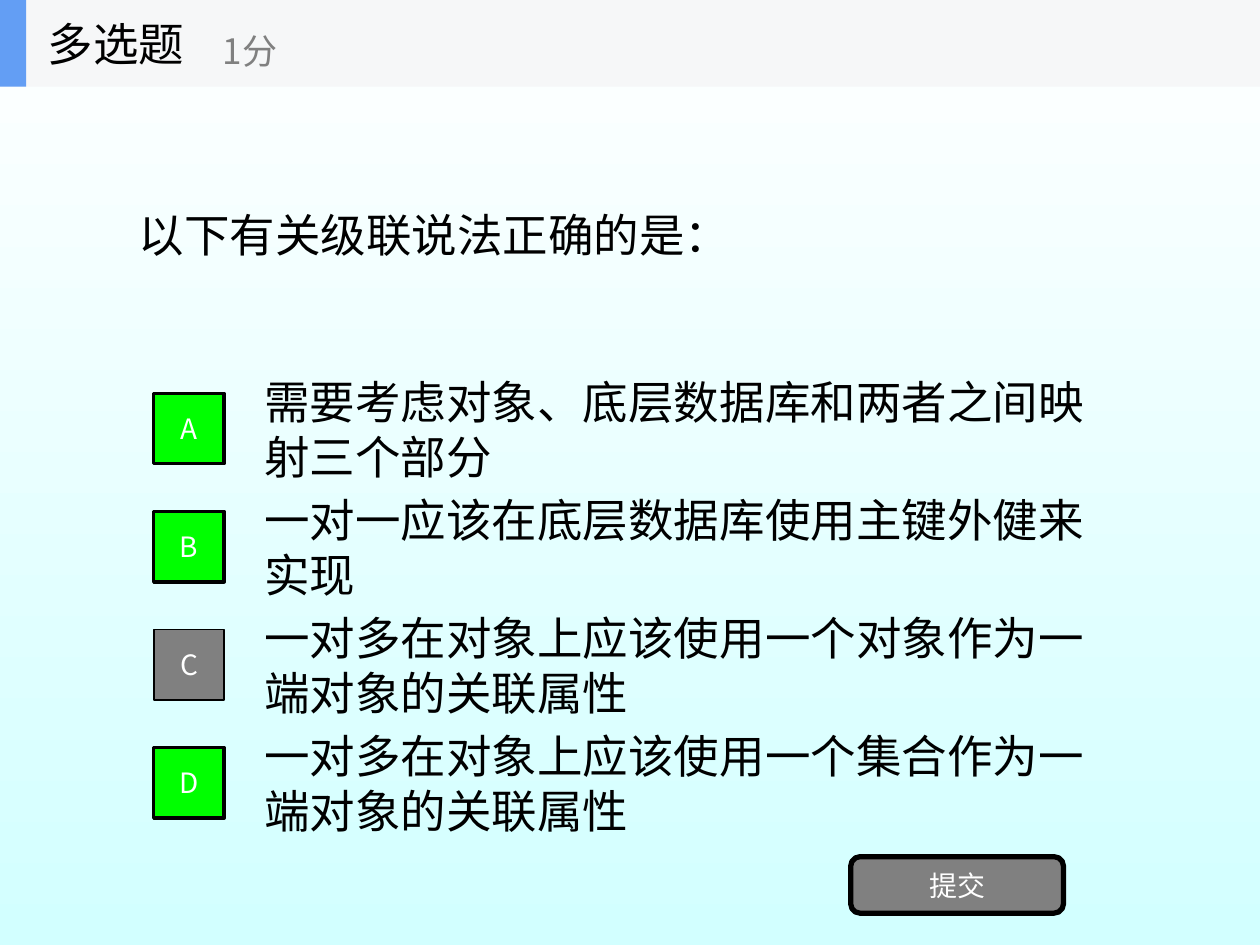
from dataclasses import dataclass

from lxml.etree import SubElement
from pptx import Presentation
from pptx.dml.color import RGBColor
from pptx.enum.shapes import MSO_SHAPE
from pptx.enum.text import MSO_ANCHOR, MSO_AUTO_SIZE, PP_ALIGN
from pptx.oxml.ns import qn
from pptx.util import Cm, Pt


@dataclass(frozen=True)
class Theme:
    font: str = "Noto Sans CJK SC"
    ink: str = "000000"
    white: str = "FFFFFF"
    grey: str = "808080"
    correct: str = "00FF00"
    band: str = "F6F7F8"
    accent: str = "639EF4"
    background_end: str = "D2FFFF"
    text_size: int = 26
    score_size: int = 20
    button_size: int = 16


@dataclass(frozen=True)
class Area:
    """A rectangle in centimetres."""
    left: float
    top: float
    width: float
    height: float

    def lengths(self) -> tuple:
        return Cm(self.left), Cm(self.top), Cm(self.width), Cm(self.height)


@dataclass(frozen=True)
class Option:
    letter: str
    wording: str
    correct: bool


THEME = Theme()
PAGE_WIDTH, PAGE_HEIGHT = 25.4, 19.05
HEADER_HEIGHT = 1.75
OPTION_TOP, OPTION_PITCH, OPTION_HEIGHT = 7.75, 2.38, 1.78
BADGE_SIZE = 1.42

OPTIONS = [
    Option("A", "需要考虑对象、底层数据库和两者之间映射三个部分", True),
    Option("B", "一对一应该在底层数据库使用主键外健来实现", True),
    Option("C", "一对多在对象上应该使用一个对象作为一端对象的关联属性", False),
    Option("D", "一对多在对象上应该使用一个集合作为一端对象的关联属性", True),
]


def write(box, wording: str, size: int, color: str, align=PP_ALIGN.LEFT) -> None:
    frame = box.text_frame
    frame_format = {
        "word_wrap": True,
        "auto_size": MSO_AUTO_SIZE.NONE,
        "vertical_anchor": MSO_ANCHOR.MIDDLE,
    }
    for name, value in frame_format.items():
        setattr(frame, name, value)
    para = frame.paragraphs[0]
    para.alignment = align
    span = para.add_run()
    span.text = wording
    for name, value in {"name": THEME.font, "size": Pt(size)}.items():
        setattr(span.font, name, value)
    span.font.color.rgb = RGBColor.from_string(color)
    # Chinese characters take the East Asian typeface
    SubElement(span._r.get_or_add_rPr(), qn("a:ea"), typeface=THEME.font)


def add_label(page, area: Area, wording: str, size: int, color: str) -> None:
    write(page.shapes.add_textbox(*area.lengths()), wording, size, color)


def add_block(page, area: Area, fill: str, line_width: float = 0,
              kind=MSO_SHAPE.RECTANGLE):
    box = page.shapes.add_shape(kind, *area.lengths())
    box.shadow.inherit = False
    box.fill.solid()
    box.fill.fore_color.rgb = RGBColor.from_string(fill)
    if line_width:
        box.line.width = Pt(line_width)
        box.line.color.rgb = RGBColor.from_string(THEME.ink)
    else:
        box.line.fill.background()
    return box


def add_button(page, area: Area, wording: str, fill: str, line_width: float,
               kind=MSO_SHAPE.RECTANGLE) -> None:
    box = add_block(page, area, fill, line_width, kind)
    write(box, wording, THEME.button_size, THEME.white, PP_ALIGN.CENTER)


def paint_background(page) -> None:
    fill = page.background.fill
    fill.gradient()
    fill.gradient_angle = 270
    for stop, color in zip(fill.gradient_stops, (THEME.white, THEME.background_end)):
        stop.color.rgb = RGBColor.from_string(color)


def add_question(page, wording: str) -> None:
    title = page.shapes.title
    places = Area(2.54, HEADER_HEIGHT, 20.32, 5.94).lengths()
    for name, value in zip(("left", "top", "width", "height"), places):
        setattr(title, name, value)
    write(title, wording, THEME.text_size, THEME.ink)


def add_option(page, option: Option, top: float) -> None:
    add_label(page, Area(5.08, top, 17.78, OPTION_HEIGHT),
              option.wording, THEME.text_size, THEME.ink)
    badge_top = top + (OPTION_HEIGHT - BADGE_SIZE) / 2
    fill, line_width = (THEME.correct, 2) if option.correct else (THEME.grey, 1)
    add_button(page, Area(3.1, badge_top, BADGE_SIZE, BADGE_SIZE),
               option.letter, fill, line_width)


def add_header(page) -> None:
    add_block(page, Area(0, 0, PAGE_WIDTH, HEADER_HEIGHT), THEME.band)
    add_block(page, Area(0, 0, 0.53, HEADER_HEIGHT), THEME.accent)
    add_label(page, Area(0.71, 0, 5.28, HEADER_HEIGHT),
              "多选题", THEME.text_size, THEME.ink)
    add_label(page, Area(4.24, 0.3, 6.35, 1.42),
              "1分", THEME.score_size, THEME.grey)


def main() -> None:
    deck = Presentation()
    deck.slide_width, deck.slide_height = Cm(PAGE_WIDTH), Cm(PAGE_HEIGHT)
    page = deck.slides.add_slide(deck.slide_layouts.get_by_name("Title Only"))
    paint_background(page)

    # Question and its options
    add_question(page, "以下有关级联说法正确的是：")
    for index, option in enumerate(OPTIONS):
        add_option(page, option, OPTION_TOP + index * OPTION_PITCH)

    # Submit button
    add_button(page, Area(17.15, 17.27, 4.29, 1.14), "提交", THEME.grey, 3,
               MSO_SHAPE.ROUNDED_RECTANGLE)

    # Header with question type and score
    add_header(page)
    deck.save("out.pptx")


if __name__ == "__main__":
    main()
